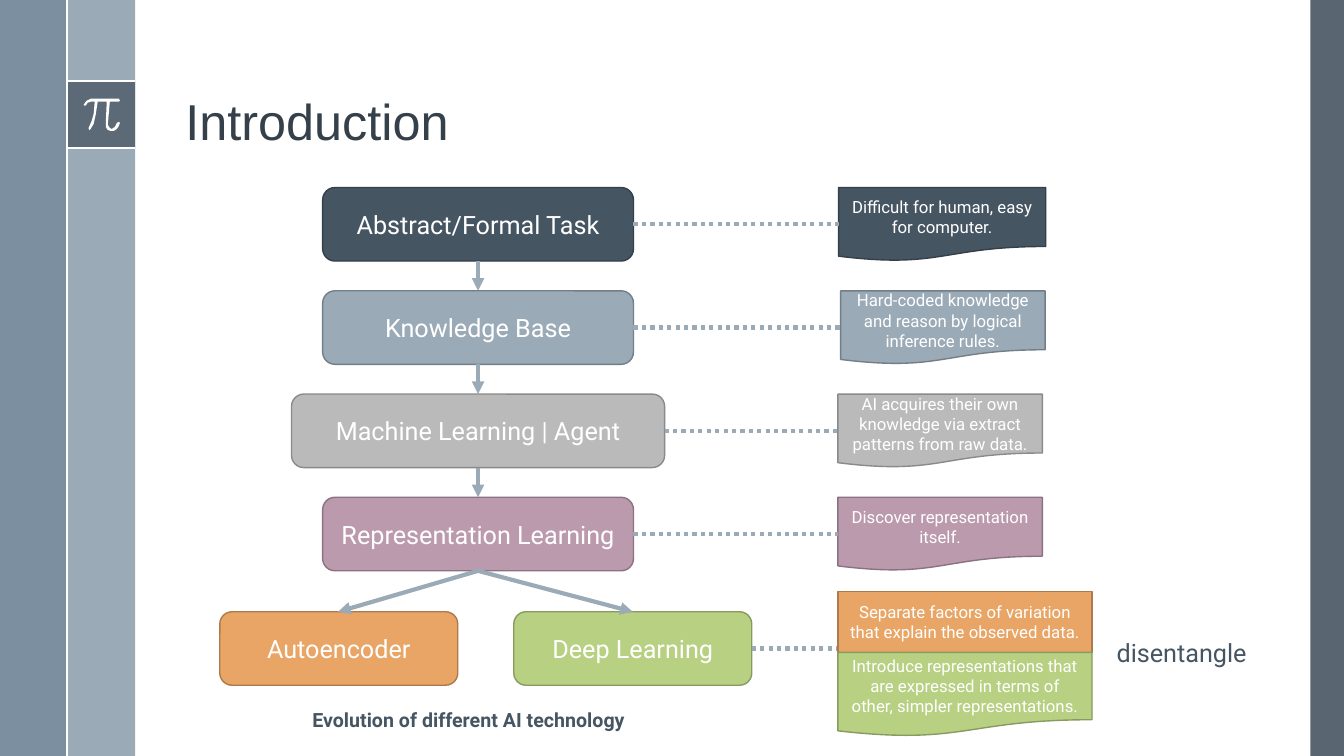
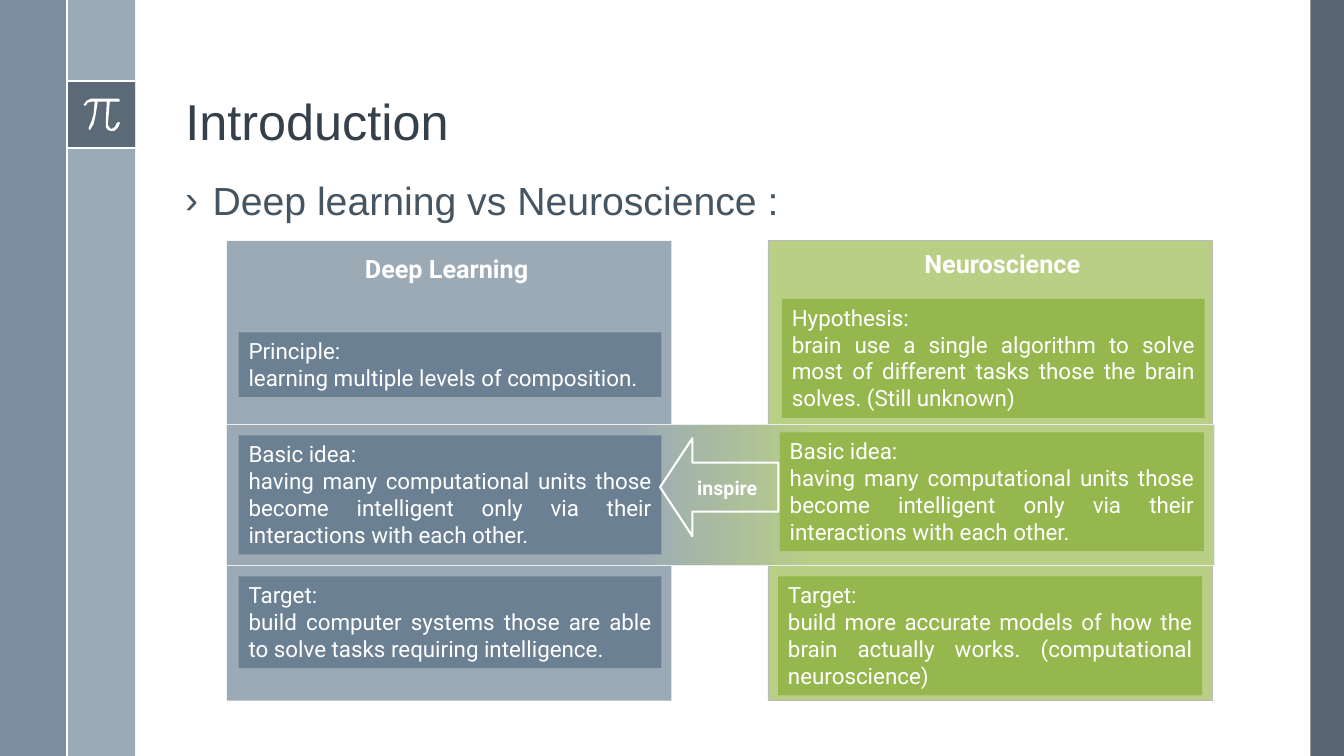
from dataclasses import dataclass
from typing import NamedTuple

from lxml import etree
from pptx import Presentation
from pptx.dml.color import RGBColor
from pptx.enum.dml import MSO_LINE
from pptx.enum.shapes import MSO_CONNECTOR, MSO_SHAPE
from pptx.enum.text import MSO_ANCHOR, MSO_AUTO_SIZE, PP_ALIGN
from pptx.oxml.ns import qn
from pptx.util import Pt

RECTANGLE, ROUNDED = MSO_SHAPE.RECTANGLE, MSO_SHAPE.ROUNDED_RECTANGLE
DOCUMENT, LEFT_ARROW = MSO_SHAPE.FLOWCHART_DOCUMENT, MSO_SHAPE.LEFT_ARROW
STRAIGHT, DOTTED = MSO_CONNECTOR.STRAIGHT, MSO_LINE.ROUND_DOT
LEFT, CENTER, JUSTIFY = PP_ALIGN.LEFT, PP_ALIGN.CENTER, PP_ALIGN.JUSTIFY
TOP, MIDDLE, BOTTOM = MSO_ANCHOR.TOP, MSO_ANCHOR.MIDDLE, MSO_ANCHOR.BOTTOM
TITLE_ONLY = 5


@dataclass(frozen=True)
class Theme:
    heading_font: str = "Arial"
    body_font: str = "Roboto"
    title_size: int = 36
    bullet_size: int = 28
    label_size: int = 18
    card_size: int = 16
    caption_size: int = 14
    note_size: int = 12
    white: str = "FFFFFF"
    title: str = "35404A"
    slate: str = "465562"
    band_dark: str = "475562"
    band_blue: str = "6A8093"
    mist: str = "9BAAB7"
    panel_blue: str = "9CAAB6"
    card_blue: str = "6B8092"
    panel_green: str = "B9CF86"
    card_green: str = "96B74D"
    gray: str = "BABABA"
    pale: str = "EBEEF1"


THEME = Theme()

# Fill and outline of each stage
DARK = (THEME.slate, "343F49")
BLUE = (THEME.mist, "737E87")
GRAY = (THEME.gray, "8A8A8A")
MAUVE = ("BC9AAE", "8B7281")
ORANGE = ("E8A565", "AC7A4B")
GREEN = ("B8D082", "889A60")


class Box(NamedTuple):
    left: float
    top: float
    width: float
    height: float

    @property
    def right(self):
        return self.left + self.width

    @property
    def bottom(self):
        return self.top + self.height

    @property
    def center(self):
        return self.left + self.width / 2

    @property
    def middle(self):
        return self.top + self.height / 2

    def inner(self, left, top, width, height):
        return Box(self.left + left, self.top + top, width, height)

    def lengths(self):
        return [Pt(value) for value in self]


def color(code):
    return RGBColor.from_string(code)


def apply(target, values):
    for name, value in values.items():
        setattr(target, name, value)


def write(shape, lines, size, ink=THEME.white, font=THEME.body_font, bold=False,
          align=LEFT, anchor=TOP, wrap=True, spacing=None):
    frame = shape.text_frame
    frame.text = "\n".join(lines)
    apply(frame, {"auto_size": MSO_AUTO_SIZE.NONE, "word_wrap": wrap,
                  "vertical_anchor": anchor})
    for para in frame.paragraphs:
        apply(para, {"alignment": align, "line_spacing": spacing})
        for span in para.runs:
            apply(span.font, {"name": font, "size": Pt(size), "bold": bold})
            span.font.color.rgb = color(ink)


def paint(shape, fill=None, outline=None, weight=1, alpha=None):
    shape.shadow.inherit = False
    if fill:
        shape.fill.solid()
        shape.fill.fore_color.rgb = color(fill)
    else:
        shape.fill.background()
    if alpha:
        tint = shape.element.spPr.find(".//" + qn("a:srgbClr"))
        etree.SubElement(tint, qn("a:alpha"), val=str(alpha * 1000))
    if outline:
        shape.line.color.rgb = color(outline)
        shape.line.width = Pt(weight)
    else:
        shape.line.fill.background()


def add_block(page, kind, box, **look):
    shape = page.shapes.add_shape(kind, *box.lengths())
    paint(shape, **look)
    return shape


def add_label(page, box, lines, size, **style):
    label = page.shapes.add_textbox(*box.lengths())
    write(label, lines, size, **style)
    return label


def add_line(page, start, end, ink=THEME.mist, weight=3, dash=None, arrow=False):
    line = page.shapes.add_connector(STRAIGHT, *[Pt(v) for v in (*start, *end)])
    line.line.color.rgb = color(ink)
    apply(line.line, {"width": Pt(weight), "dash_style": dash})
    if arrow:
        etree.SubElement(line.line._get_or_add_ln(), qn("a:tailEnd"), type="triangle")
    etree.SubElement(line.element.spPr, qn("a:effectLst"))
    return line


# Shared bands and pi sign, kept on the layout
PI_OUTLINE = [
    (35, 0), (7, 0), (3, 2), (0, 6), (1, 7), (2, 7), (4, 4), (7, 3), (11, 3),
    (9.5, 15), (8, 22), (5, 29), (5, 30.5), (6, 31), (7, 30.5), (10, 25),
    (12, 16), (14, 3), (23, 3), (22, 24), (22, 28), (24, 31), (27, 32),
    (30, 31.5), (33, 30), (35, 27), (36, 24), (35, 23), (33, 24), (31, 28),
    (28, 30), (25.5, 29), (24, 26), (26, 3), (35, 3), (36.5, 1.5)]


def build_bands(page, layout, box):
    square = box.inner(48, 58, 48.5, 48)
    blocks = [
        (box.inner(936, 0, 24, box.height), THEME.band_dark, 90),
        (box.inner(48, 0, 48.5, box.height), THEME.mist, None),
        (box.inner(0, 0, 48, box.height), THEME.band_blue, 88),
        (square, THEME.band_dark, 75)]
    parts = [add_block(page, RECTANGLE, place, fill=fill, alpha=alpha)
             for place, fill, alpha in blocks]
    rules = [((square.left, y), (square.right, y)) for y in (square.top, square.bottom)]
    rules.append(((square.left, box.top), (square.left, box.bottom)))
    parts += [add_line(page, *ends, ink=THEME.white, weight=1.5) for ends in rules]

    builder = page.shapes.build_freeform(*PI_OUTLINE[0], scale=Pt(0.72))
    builder.add_line_segments(PI_OUTLINE[1:], close=True)
    sign = builder.convert_to_shape(Pt(square.left + 11.75), Pt(square.top + 12.5))
    paint(sign, fill=THEME.white)
    parts.append(sign)

    tree = layout.shapes.element
    for index, part in enumerate(parts):
        part.element.find(".//" + qn("p:cNvPr")).set("id", str(100 + index))
        tree.insert(2 + index, part.element)


def set_title(page, box, text):
    title = page.shapes.title
    apply(title, dict(zip(("left", "top", "width", "height"), box.lengths())))
    write(title, [text], THEME.title_size, ink=THEME.title,
          font=THEME.heading_font, anchor=BOTTOM, spacing=0.9)


# Evolution diagram: label, width, colours, note, note left, note width
STAGES = [
    ("Abstract/Formal Task", 222, DARK,
     "Difficult for human, easy for computer.", 442, 148),
    ("Knowledge Base", 222, BLUE,
     "Hard-coded knowledge and reason by logical inference rules.", 443.5, 146),
    ("Machine Learning | Agent", 266.5, GRAY,
     "AI acquires their own knowledge via extract patterns from raw data.", 441.5, 146),
    ("Representation Learning", 222, MAUVE,
     "Discover representation itself.", 441.5, 146)]


def add_tile(page, kind, box, text, colours, size):
    fill, outline = colours
    tile = add_block(page, kind, box, fill=fill, outline=outline)
    write(tile, [text], size, align=CENTER, anchor=MIDDLE)


def build_evolution(page, box):
    axis, pitch, height = 184.5, 73.75, 52.5
    previous = None
    for row, (text, width, colours, note, note_left, note_width) in enumerate(STAGES):
        stage = box.inner(axis - width / 2, row * pitch, width, height)
        remark = box.inner(note_left, row * pitch, note_width, height)
        add_tile(page, ROUNDED, stage, text, colours, THEME.label_size)
        add_tile(page, DOCUMENT, remark, note, colours, THEME.note_size)
        add_line(page, (stage.right, stage.middle), (remark.left, stage.middle),
                 dash=DOTTED)
        if previous:
            add_line(page, (stage.center, previous.bottom),
                     (stage.center, stage.top), arrow=True)
        previous = stage

    # Two branches below the last stage
    branches = [("Autoencoder", 0, ORANGE, 84.5), ("Deep Learning", 210, GREEN, 85)]
    for text, left, colours, tip in branches:
        branch = box.inner(left, 303, 170, height)
        add_tile(page, ROUNDED, branch, text, colours, THEME.label_size)
        add_line(page, (previous.center, previous.bottom),
                 (branch.left + tip, branch.top), arrow=True)
    add_line(page, (branch.right, branch.middle),
             (box.left + 441.5, branch.middle), dash=DOTTED)
    add_tile(page, RECTANGLE, box.inner(441.5, 288.5, 181.5, 43.5),
             "Separate factors of variation that explain the observed data.",
             ORANGE, THEME.note_size)
    add_tile(page, DOCUMENT, box.inner(441.5, 332, 181.5, 60),
             "Introduce representations that are expressed in terms of other, "
             "simpler representations.", GREEN, THEME.note_size)

    # Captions
    add_label(page, box.inner(59, 368, 266.5, 24.5),
              ["Evolution of different AI technology"], THEME.caption_size,
              ink=THEME.slate, bold=True)
    add_label(page, box.inner(633.5, 317.5, 111, 29), ["disentangle"],
              THEME.label_size, ink=THEME.slate, wrap=False)


# Comparison columns: heading, then each card's place in the column
IDEA = ("having many computational units those become intelligent only via "
        "their interactions with each other.")
DEEP_LEARNING = ("Deep Learning", (72, -6.5, 170, 52.5), [
    ("Principle:", "learning multiple levels of composition.", (8.5, 65.5, 302, 46)),
    ("Basic idea:", IDEA, (8.5, 139, 302, 85)),
    ("Target:", "build computer systems those are able to solve tasks requiring "
     "intelligence.", (8.5, 239.75, 302, 65.5))])
NEUROSCIENCE = ("Neuroscience", (21.5, -12, 292, 56), [
    ("Hypothesis:", "brain use a single algorithm to solve most of different tasks "
     "those the brain solves. (Still unknown)", (10, 41.5, 302, 85)),
    ("Basic idea:", IDEA, (8.5, 136.75, 303, 85)),
    ("Target:", "build more accurate models of how the brain actually works. "
     "(computational neuroscience)", (7.25, 239.75, 303, 85))])


def build_column(page, box, content, fill):
    heading, heading_place, cards = content
    add_label(page, box.inner(*heading_place), [heading], THEME.label_size,
              bold=True, align=CENTER, anchor=MIDDLE)
    for topic, text, place in cards:
        card = add_block(page, RECTANGLE, box.inner(*place), fill=fill)
        write(card, [topic, text], THEME.card_size, align=JUSTIFY)


def add_bridge(page, box):
    bridge = add_block(page, RECTANGLE, box, outline=THEME.pale, weight=0.5)
    bridge.fill.gradient()
    bridge.fill.gradient_angle = 0
    stops = bridge.element.spPr.find(".//" + qn("a:gsLst"))
    for stop in list(stops):
        stops.remove(stop)
    for percent, ink in ((0, THEME.panel_blue), (41, THEME.panel_blue),
                         (60, THEME.panel_green), (100, THEME.panel_green)):
        stop = etree.SubElement(stops, qn("a:gs"), pos=str(percent * 1000))
        etree.SubElement(stop, qn("a:srgbClr"), val=ink)


def build_comparison(page, box):
    left = box.inner(0, 0, 317.5, box.height)
    right = box.inner(386.5, 0, 317.5, box.height)
    add_block(page, RECTANGLE, right, fill=THEME.panel_green,
              outline=THEME.gray, weight=0.5)
    add_block(page, RECTANGLE, left, fill=THEME.panel_blue)
    add_bridge(page, box.inner(0, 131, 705.5, 101))
    build_column(page, left, DEEP_LEARNING, THEME.card_blue)
    build_column(page, right, NEUROSCIENCE, THEME.card_green)
    arrow = add_block(page, LEFT_ARROW, box.inner(309.5, 141, 84.5, 70),
                      outline=THEME.white, weight=1.5)
    arrow.adjustments[0], arrow.adjustments[1] = 0.5, 0.33
    write(arrow, ["inspire"], THEME.caption_size, bold=True, align=CENTER, anchor=MIDDLE)


def add_bullet(page, box, text):
    label = add_label(page, box, [text], THEME.bullet_size, ink=THEME.slate,
                      font=THEME.heading_font, align=JUSTIFY, spacing=0.9)
    marks = label.text_frame.paragraphs[0]._p.get_or_add_pPr()
    apply_indent = {"marL": Pt(19.5), "indent": -Pt(19.5)}
    for name, value in apply_indent.items():
        marks.set(name, str(value))
    etree.SubElement(marks, qn("a:buFont"), typeface=THEME.heading_font)
    etree.SubElement(marks, qn("a:buChar"), char="›")


def main():
    deck = Presentation()
    apply(deck, {"slide_width": Pt(960), "slide_height": Pt(540)})
    layout = deck.slide_layouts[TITLE_ONLY]
    evolution, comparison = [deck.slides.add_slide(layout) for _ in range(2)]
    build_bands(evolution, layout, Box(0, 0, 960, 540))
    for page in (evolution, comparison):
        set_title(page, Box(125.25, 13.75, 770.5, 98), "Introduction")
    build_evolution(evolution, Box(157, 134, 745, 393))
    add_bullet(comparison, Box(125.25, 126, 770.5, 40), "Deep learning vs Neuroscience :")
    build_comparison(comparison, Box(162, 172, 705.5, 328.5))
    deck.save("out.pptx")


if __name__ == "__main__":
    main()
